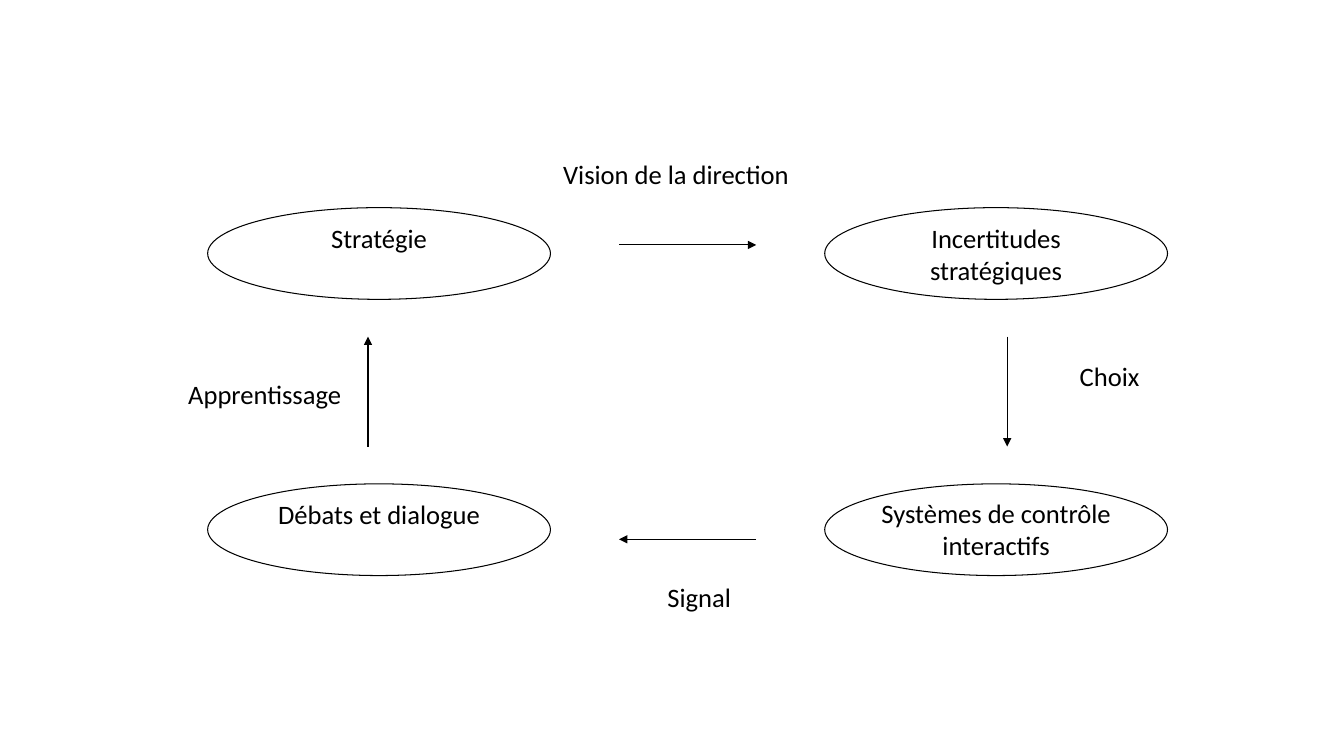
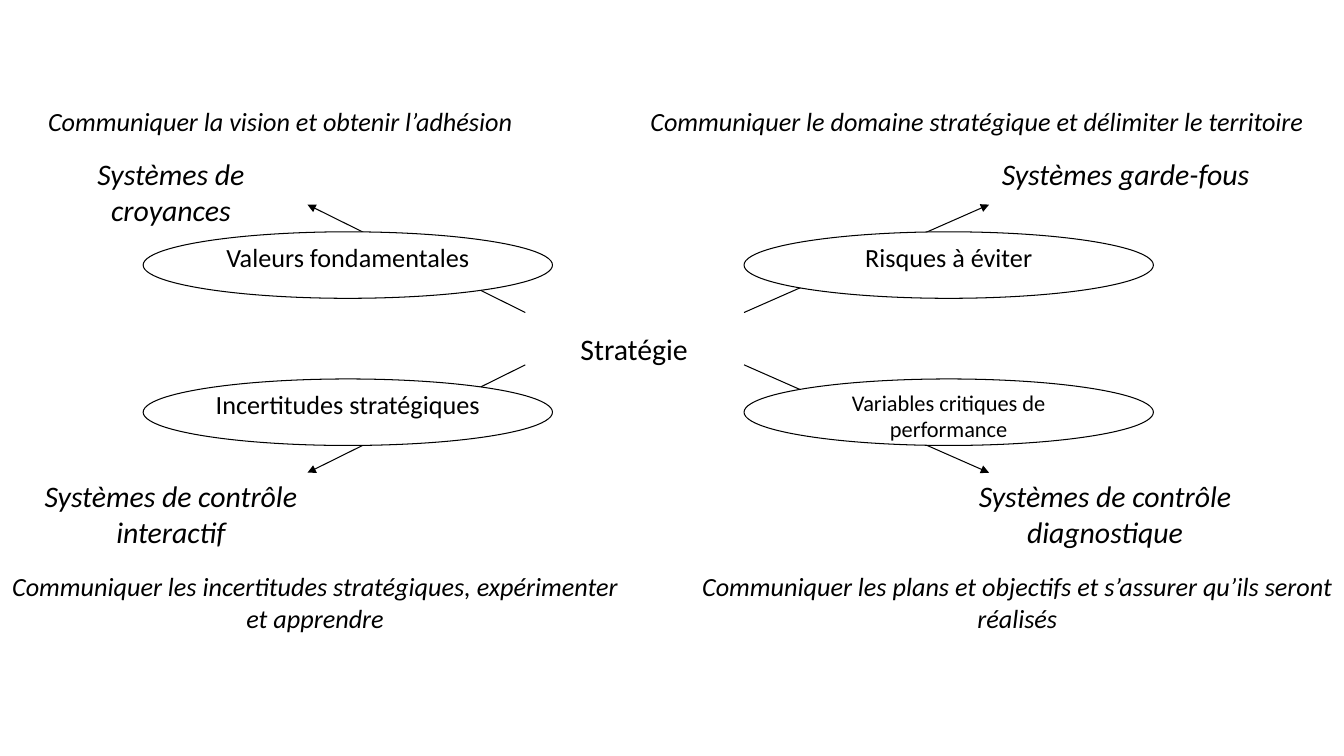
"""Two strategy diagrams: the interactive control cycle and the four levers of control."""
from dataclasses import dataclass

from lxml import etree
from pptx import Presentation
from pptx import util as u
from pptx.dml.color import RGBColor
from pptx.enum import shapes, text
from pptx.oxml.ns import qn

INK = "000000"
PAPER = "FFFFFF"
FONT = "Calibri"
LINE_WIDTH = u.Pt(0.75)

CYCLE_SIZE = 19
SYSTEM_SIZE = 21.3
LEVER_SIZE = 18.7


@dataclass(frozen=True)
class Box:
    """A rectangle on the slide, in inches."""
    left: float
    top: float
    width: float
    height: float

    def emu(self) -> list:
        """Return the four lengths as python-pptx wants them."""
        return [u.Inches(v) for v in (self.left, self.top, self.width, self.height)]


@dataclass(frozen=True)
class Label:
    """A caption and the box it is centred in."""
    wording: str
    box: Box
    fill: str | None = None


@dataclass(frozen=True)
class Oval:
    """A concept drawn as an outlined ellipse."""
    wording: str
    left: float
    top: float
    size: float
    inset: tuple[float, float] = (0, 0)


@dataclass(frozen=True)
class Arrow:
    """A straight arrow between two points, in inches."""
    start: tuple[float, float]
    end: tuple[float, float]


def colour(value: str) -> RGBColor:
    """Turn a hex string into a colour."""
    return RGBColor.from_string(value)


def write(frame, wording: str, *, size: float, italic: bool = False,
          inset: tuple[float, float] = (0.1, 0.05)) -> None:
    """Put centred, top-anchored text in a frame."""
    frame.word_wrap = True
    frame.vertical_anchor = text.MSO_ANCHOR.TOP
    frame.margin_left = frame.margin_right = u.Inches(inset[0])
    frame.margin_top = frame.margin_bottom = u.Inches(inset[1])
    paragraph = frame.paragraphs[0]
    paragraph.alignment = text.PP_ALIGN.CENTER
    run = paragraph.add_run()
    run.text = wording
    run.font.name = FONT
    run.font.size = u.Pt(size)
    run.font.italic = italic
    run.font.color.rgb = colour(INK)


def draw_label(slide, label: Label, *, size: float, italic: bool = False) -> None:
    """Draw a caption."""
    caption = slide.shapes.add_textbox(*label.box.emu())
    if label.fill:
        caption.fill.solid()
        caption.fill.fore_color.rgb = colour(label.fill)
    write(caption.text_frame, label.wording, size=size, italic=italic)


def draw_oval(slide, oval: Oval, width: float, height: float) -> None:
    """Draw a concept ellipse."""
    box = Box(oval.left, oval.top, width, height)
    ellipse = slide.shapes.add_shape(shapes.MSO_SHAPE.OVAL, *box.emu())
    ellipse.shadow.inherit = False
    ellipse.fill.solid()
    ellipse.fill.fore_color.rgb = colour(PAPER)
    ellipse.line.color.rgb = colour(INK)
    ellipse.line.width = LINE_WIDTH
    write(ellipse.text_frame, oval.wording, size=oval.size, inset=oval.inset)


def draw_arrow(slide, arrow: Arrow) -> None:
    """Draw a thin line with a triangular head at its end."""
    points = [u.Inches(v) for v in (*arrow.start, *arrow.end)]
    connector = slide.shapes.add_connector(shapes.MSO_CONNECTOR.STRAIGHT, *points)
    connector.line.color.rgb = colour(INK)
    connector.line.width = LINE_WIDTH
    etree.SubElement(connector.line._get_or_add_ln(), qn("a:tailEnd"), type="triangle")
    etree.SubElement(connector._element.spPr, qn("a:effectLst"))


def build_cycle(slide) -> None:
    """Draw the interactive control cycle."""
    left, right, top, bottom = 2.06, 8.18, 2.06, 4.8
    edge = (0.06, 0.01)
    for oval in (
        Oval("Incertitudes stratégiques", right, top, CYCLE_SIZE, edge),
        Oval("Stratégie", left, top, CYCLE_SIZE, edge),
        Oval("Débats et dialogue", left, bottom, CYCLE_SIZE, edge),
        Oval("Systèmes de contrôle interactifs", right, bottom, CYCLE_SIZE),
    ):
        draw_oval(slide, oval, 3.4, 0.91)
    for arrow in (
        Arrow((6.14, 2.43), (7.5, 2.43)),
        Arrow((9.99, 3.34), (9.99, 4.43)),
        Arrow((7.5, 5.35), (6.14, 5.35)),
        Arrow((3.65, 4.43), (3.65, 3.34)),
    ):
        draw_arrow(slide, arrow)
    for wording, x, y, fill in (
        ("Vision de la direction", 5.46, 1.52, PAPER),
        ("Choix", 9.76, 3.52, None),
        ("Signal", 5.69, 5.71, None),
        ("Apprentissage", 1.38, 3.7, None),
    ):
        draw_label(slide, Label(wording, Box(x, y, 2.49, 0.73), fill), size=CYCLE_SIZE)


def build_levers(slide) -> None:
    """Draw the four levers of control around the strategy."""
    draw_label(slide, Label("Stratégie", Box(5.21, 3.23, 2.16, 0.4)), size=SYSTEM_SIZE)
    for system in (
        Label("Systèmes de croyances", Box(0.34, 1.5, 2.71, 0.53)),
        Label("Systèmes de contrôle interactif", Box(0.34, 4.69, 2.71, 0.66)),
        Label("Systèmes de contrôle diagnostique", Box(9.4, 4.69, 3.12, 0.8)),
        Label("Systèmes garde-fous", Box(9.81, 1.5, 2.71, 0.53)),
    ):
        draw_label(slide, system, size=SYSTEM_SIZE, italic=True)
    for inner_x, outer_x in ((5.21, 3.05), (7.38, 9.81)):
        for inner_y, outer_y in ((3.1, 2.03), (3.62, 4.69)):
            draw_arrow(slide, Arrow((inner_x, inner_y), (outer_x, outer_y)))
    left, right, top, bottom = 1.42, 7.38, 2.3, 3.76
    for oval in (
        Oval("Incertitudes stratégiques", left, bottom, LEVER_SIZE),
        Oval("Variables critiques de performance", right, bottom, 16),
        Oval("Risques à éviter", right, top, LEVER_SIZE),
        Oval("Valeurs fondamentales", left, top, LEVER_SIZE),
    ):
        draw_oval(slide, oval, 4.06, 0.66)
    for purpose in (
        Label("Communiquer la vision et obtenir l’adhésion", Box(-0.47, 1, 6.5, 0.41)),
        Label("Communiquer le domaine stratégique et délimiter le territoire",
              Box(6.04, 1, 7.3, 0.33)),
        Label("Communiquer les incertitudes stratégiques, expérimenter et apprendre",
              Box(0, 5.61, 6.25, 0.66)),
        Label("Communiquer les plans et objectifs et s’assurer qu’ils seront réalisés",
              Box(6.84, 5.61, 6.5, 0.66)),
    ):
        draw_label(slide, purpose, size=LEVER_SIZE, italic=True)


def main() -> None:
    """Build and save the presentation."""
    deck = Presentation()
    deck.slide_width, deck.slide_height = u.Inches(13.33), u.Inches(7.5)
    blank = deck.slide_layouts[6]
    for build in (build_cycle, build_levers):
        build(deck.slides.add_slide(blank))
    deck.save("out.pptx")


if __name__ == "__main__":
    main()
